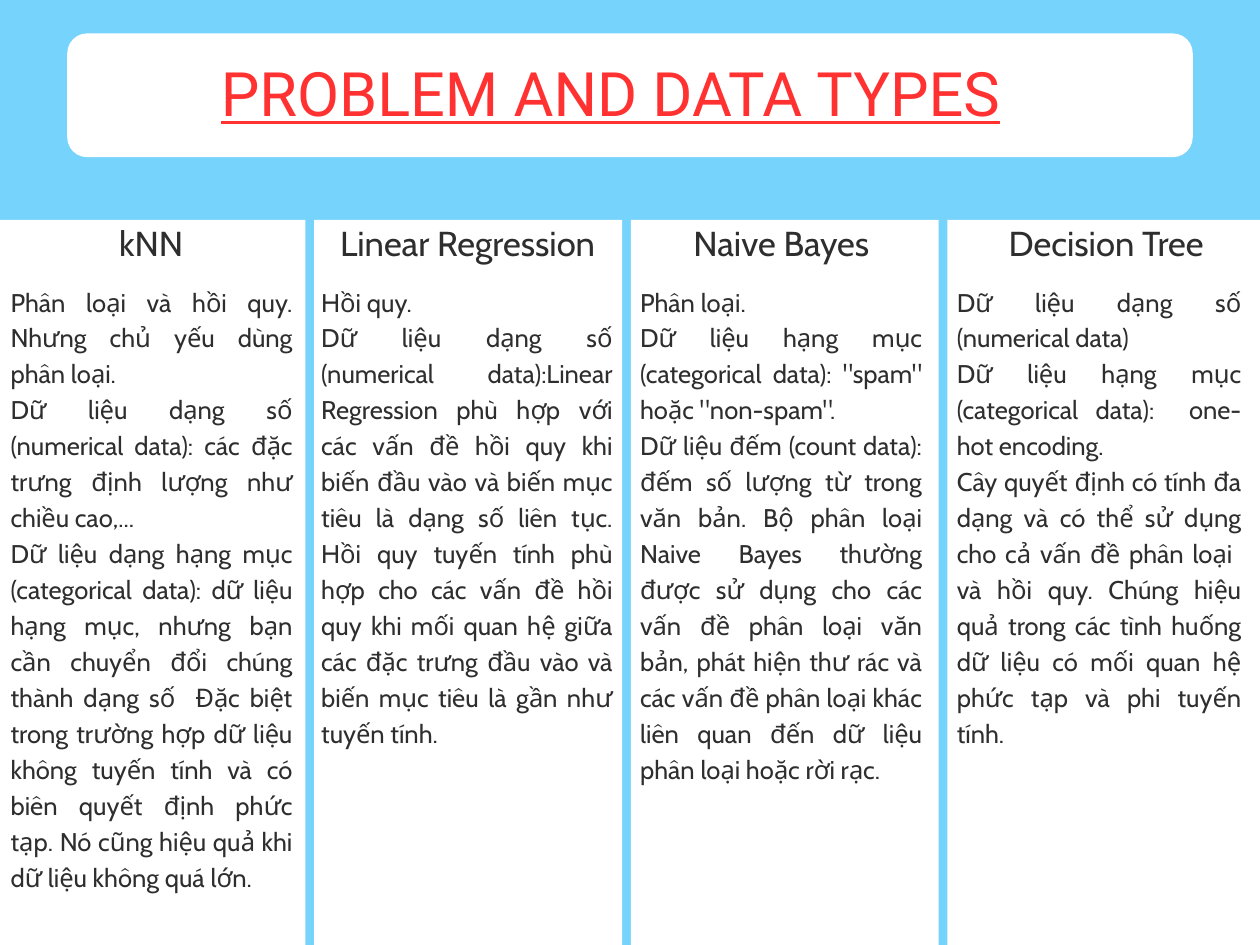
import pptx
import pptx.util
import pptx.dml.color
import pptx.enum.shapes
import pptx.enum.text

Pt = pptx.util.Pt
Rgb = pptx.dml.color.RGBColor.from_string
Align = pptx.enum.text.PP_ALIGN
Kind = pptx.enum.shapes.MSO_SHAPE

TITLE = "PROBLEM AND DATA TYPES"
COLS = [
    dict(head="kNN", left=0, mid=92.2, text=(6.5, 172), body=[
        "Phân loại và hồi quy. Nhưng chủ yếu dùng phân loại.",
        "Dữ liệu dạng số (numerical data): các đặc trưng định lượng như chiều cao,...",
        "Dữ liệu dạng hạng mục (categorical data): dữ liệu hạng mục, nhưng bạn cần "
        "chuyển đổi chúng thành dạng số  Đặc biệt trong trường hợp dữ liệu không "
        "tuyến tính và có biên quyết định phức tạp. Nó cũng hiệu quả khi dữ liệu "
        "không quá lớn.",
    ]),
    dict(head="Linear Regression", left=191.5, mid=285.1, text=(195.8, 177.8), body=[
        "Hồi quy.",
        "Dữ liệu dạng số (numerical data):Linear Regression phù hợp với các vấn đề "
        "hồi quy khi biến đầu vào và biến mục tiêu là dạng số liên tục. Hồi quy tuyến "
        "tính phù hợp cho các vấn đề hồi quy khi mối quan hệ giữa các đặc trưng đầu "
        "vào và biến mục tiêu là gần như tuyến tính.",
    ]),
    dict(head="Naive Bayes", left=384.5, mid=476.3, text=(390.2, 172), body=[
        "Phân loại.",
        "Dữ liệu hạng mục (categorical data): \"spam\" hoặc \"non-spam\".",
        "Dữ liệu đếm (count data): đếm số lượng từ trong văn bản. Bộ phân loại Naive "
        "Bayes thường được sử dụng cho các vấn đề phân loại văn bản, phát hiện thư "
        "rác và các vấn đề phân loại khác liên quan đến dữ liệu phân loại hoặc rời rạc.",
    ]),
    dict(head="Decision Tree", left=577.5, mid=674.3, text=(583.2, 173.5), body=[
        "Dữ liệu dạng số (numerical data)",
        "Dữ liệu hạng mục (categorical data):  one-hot encoding.",
        "Cây quyết định có tính đa dạng và có thể sử dụng cho cả vấn đề phân loại  và "
        "hồi quy. Chúng hiệu quả trong các tình huống dữ liệu có mối quan hệ phức tạp "
        "và phi tuyến tính.",
    ]),
]
THEME = dict(
    back="76D3FB", card="FFFFFF",
    title=dict(font="Roboto", size=37.3, line=37.3, color="FF3131", under=True),
    head=dict(font="Cabin", size=21.1, line=29.5, color="2E2E2E", align=Align.CENTER),
    body=dict(font="Cabin", size=15.6, line=21.9, color="2E2E2E", align=Align.JUSTIFY),
)
WIDE, HIGH = 768, 576
TOP, GAP = 134, 5.3
HEAD_TOP, HEAD_WIDE, HEAD_HIGH = 131, 186, 28
BODY_TOP, BODY_HIGH = 171.4, 391


def place(shape, left, top, width, height):
    shape.left, shape.top = Pt(left), Pt(top)
    shape.width, shape.height = Pt(width), Pt(height)


def write(shape, lines, font, size, line, color, align=Align.LEFT, under=None):
    frame = shape.text_frame
    frame.word_wrap = True
    frame.auto_size = pptx.enum.text.MSO_AUTO_SIZE.NONE
    frame.vertical_anchor = pptx.enum.text.MSO_ANCHOR.TOP
    frame.margin_left = frame.margin_right = frame.margin_top = frame.margin_bottom = 0
    frame.text = "\n".join(lines)
    for para in frame.paragraphs:
        para.alignment, para.line_spacing = align, Pt(line)
        para.font.name, para.font.size = font, Pt(size)
        para.font.color.rgb = Rgb(color)
        para.font.underline = under


def card(slide, kind, *box):
    shape = slide.shapes.add_shape(kind, *map(Pt, box))
    shape.shadow.inherit = False
    shape.fill.solid()
    shape.fill.fore_color.rgb = Rgb(THEME["card"])
    shape.line.fill.background()
    return shape


def label(slide, lines, style, *box):
    shape = slide.shapes.add_textbox(*map(Pt, box))
    write(shape, lines, **THEME[style])


def main():
    deck = pptx.Presentation()
    deck.slide_width, deck.slide_height = Pt(WIDE), Pt(HIGH)
    slide = deck.slides.add_slide(deck.slide_layouts.get_by_name("Title Only"))
    slide.background.fill.solid()
    slide.background.fill.fore_color.rgb = Rgb(THEME["back"])

    banner = card(slide, Kind.ROUNDED_RECTANGLE, 41, 20.4, 686, 75.4)
    banner.adjustments[0] = 0.16
    title = slide.shapes.title
    place(title, 134.6, 41, 558, 39)
    write(title, [TITLE], **THEME["title"])
    banner.element.addnext(title.element)

    ends = [col["left"] - GAP for col in COLS[1:]] + [WIDE]
    for col, end in zip(COLS, ends):
        card(slide, Kind.RECTANGLE, col["left"], TOP, end - col["left"], HIGH - TOP)
        label(slide, [col["head"]], "head",
              col["mid"] - HEAD_WIDE / 2, HEAD_TOP, HEAD_WIDE, HEAD_HIGH)
        left, width = col["text"]
        label(slide, col["body"], "body", left, BODY_TOP, width, BODY_HIGH)
    deck.save("out.pptx")


if __name__ == "__main__":
    main()
